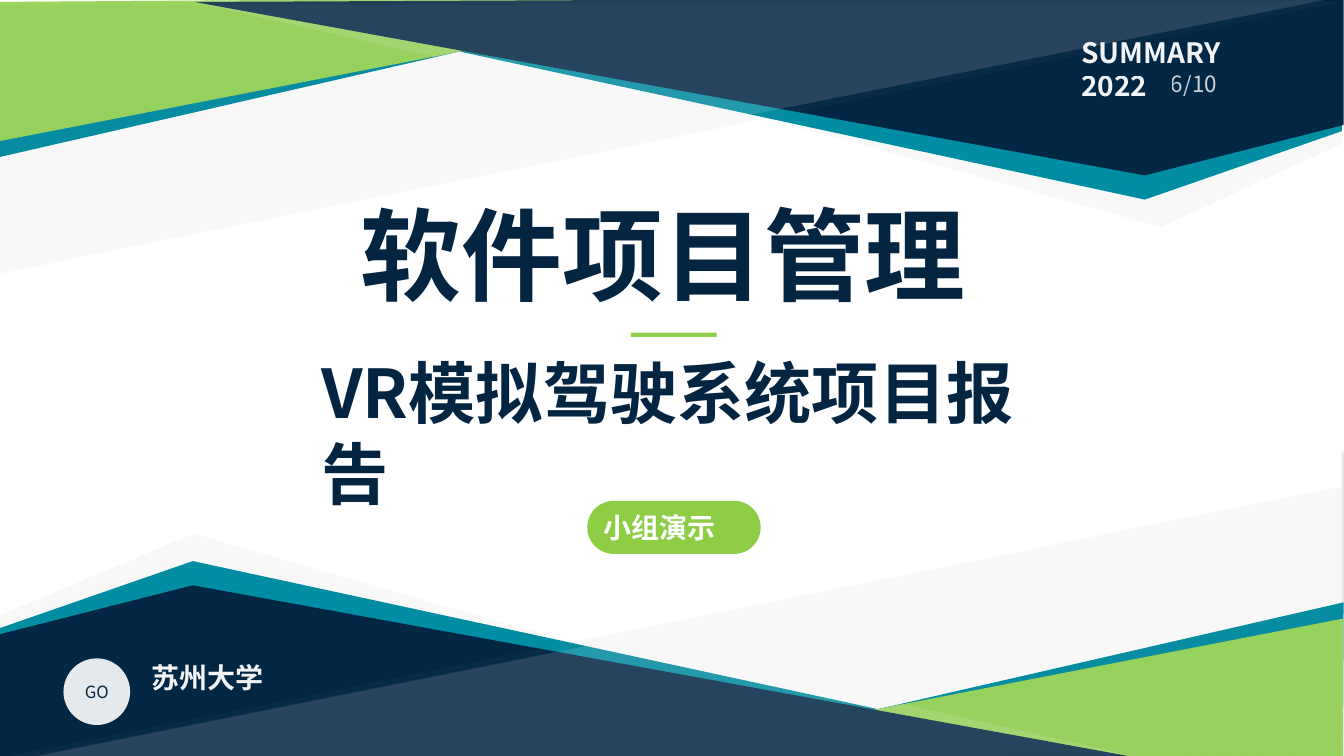
from dataclasses import dataclass

from lxml.etree import SubElement
from pptx import Presentation
from pptx.dml.color import RGBColor
from pptx.enum.dml import MSO_PATTERN
from pptx.enum.shapes import MSO_SHAPE
from pptx.enum.text import MSO_ANCHOR, MSO_AUTO_SIZE, PP_ALIGN
from pptx.oxml.ns import qn
from pptx.util import Cm, Pt


@dataclass(frozen=True)
class Theme:
    font: str = "Noto Sans CJK SC"
    navy: str = "022744"
    ink: str = "042542"
    white: str = "FFFFFF"
    mist: str = "F8F8F8"
    shade: str = "808080"
    edge: str = "E6E6E6"
    pill: str = "8ECE45"
    rule: str = "8FD04B"
    teal: tuple = ("0096A3", "008CA3")
    green: tuple = ("95D15A", "99D65D")
    title: int = 72
    subtitle: int = 48
    label: int = 20
    date: int = 16
    badge: int = 12


theme = Theme()


def paint(shape, color, opacity=100):
    """Fill a shape plainly, or with diagonal stripes for a pair of colours."""
    shape.shadow.inherit = False
    shape.line.fill.background()
    if isinstance(color, tuple):
        shape.fill.patterned()
        shape.fill.pattern = MSO_PATTERN.WIDE_DOWNWARD_DIAGONAL
        shape.fill.fore_color.rgb = RGBColor.from_string(color[0])
        shape.fill.back_color.rgb = RGBColor.from_string(color[1])
        return
    shape.fill.solid()
    shape.fill.fore_color.rgb = RGBColor.from_string(color)
    if opacity < 100:
        rgb = shape._element.spPr.find(".//" + qn("a:srgbClr"))
        SubElement(rgb, qn("a:alpha"), val=str(opacity * 1000))


def write(shape, text, size, color, bold=True, opacity=100, align=PP_ALIGN.LEFT):
    """Put one paragraph into a shape, with the same font for all scripts."""
    paragraph = shape.text_frame.paragraphs[0]
    paragraph.text = text
    paragraph.alignment = align
    font = paragraph.font
    font.size, font.bold, font.name = Pt(size), bold, theme.font
    font.color.rgb = RGBColor.from_string(color)
    properties = paragraph._p.pPr.find(qn("a:defRPr"))
    SubElement(properties, qn("a:ea"), typeface=theme.font)
    if opacity < 100:
        rgb = properties.find(".//" + qn("a:srgbClr"))
        SubElement(rgb, qn("a:alpha"), val=str(opacity * 1000))


deck = Presentation()
deck.slide_width, deck.slide_height = Cm(33.87), Cm(19.05)
slide = deck.slides.add_slide(deck.slide_layouts[5])
shapes = slide.shapes

# Strip at the right edge
strip = shapes.add_shape(MSO_SHAPE.RECTANGLE, Cm(33.81), Cm(11.38), Cm(0.99), Cm(8.61))
paint(strip, theme.edge)

# Angular bands at the top, then the same bands turned half round at the bottom
turn_x, turn_y = 33.71, 19.17
for turned, mist_peak in ((False, 29.26), (True, 28.83)):
    bands = [
        ([(33.83, 2.11), (33.83, 3.61), (mist_peak, 5.72), (19.2, 2.95),
          (33.17, 0), (33.86, 2.97)], theme.mist, 100),
        ([(-0.15, 3.99), (11.58, 1.3), (28.85, 5.03), (33.83, 3.3),
          (33.83, 0), (-0.13, 0.08)], theme.teal, 100),
        ([(-0.13, 0.05), (-0.13, 3.58), (18.69, -0.08)], theme.green, 100),
        ([(4.9, 0.05), (28.85, 4.42), (33.86, 3.15), (33.86, -0.08)], theme.navy, 100),
        ([(-0.08, 0.15), (33.83, 0.05), (-0.08, 6.91)], theme.shade, 5),
        ([(33.88, -0.1), (18.14, 3.05), (4.75, 0.03)], theme.white, 12),
    ]
    for corners, color, opacity in bands:
        if turned:
            corners = [(turn_x - x, turn_y - y) for x, y in corners]
        points = [(Cm(x), Cm(y)) for x, y in corners]
        outline = shapes.build_freeform(*points[0])
        outline.add_line_segments(points[1:], close=True)
        paint(outline.convert_to_shape(), color, opacity)

# Title, raised above the bands
title = shapes.title
title.left, title.top, title.width, title.height = Cm(8.84), Cm(4.72), Cm(15.8), Cm(3.33)
title.text_frame.word_wrap = True
title.text_frame.auto_size = MSO_AUTO_SIZE.SHAPE_TO_FIT_TEXT
title.text_frame.vertical_anchor = MSO_ANCHOR.TOP
write(title, "软件项目管理", theme.title, theme.ink)
shapes._spTree.append(title._element)

# Green rule and pill
rule = shapes.add_shape(MSO_SHAPE.RECTANGLE, Cm(15.9), Cm(8.38), Cm(2.16), Cm(0.11))
paint(rule, theme.rule)
pill = shapes.add_shape(MSO_SHAPE.ROUNDED_RECTANGLE, Cm(14.8), Cm(12.62), Cm(4.37), Cm(1.34))
pill.adjustments[0] = 0.5
paint(pill, theme.pill)

# Subtitle and labels
captions = [
    ("VR模拟驾驶系统项目报告", 7.85, 8.74, 19.48, 2.31, theme.subtitle, theme.ink, True, 100),
    ("小组演示", 14.96, 12.73, 3.4, 1.12, theme.label, theme.white, True, 100),
    ("6/10", 29.26, 1.65, 1.75, 0.94, theme.date, theme.white, False, 80),
    ("SUMMARY 2022", 27, 0.76, 5.54, 1.12, theme.label, theme.white, True, 95),
    ("苏州大学", 3.56, 16.51, 3.4, 1.12, theme.label, theme.white, True, 95),
]
for text, left, top, width, height, size, color, bold, opacity in captions:
    caption = shapes.add_textbox(Cm(left), Cm(top), Cm(width), Cm(height))
    caption.text_frame.word_wrap = True
    caption.text_frame.auto_size = MSO_AUTO_SIZE.SHAPE_TO_FIT_TEXT
    write(caption, text, size, color, bold, opacity)

# Round badge
badge = shapes.add_shape(MSO_SHAPE.OVAL, Cm(1.6), Cm(16.59), Cm(1.68), Cm(1.68))
paint(badge, theme.white, 90)
badge.text_frame.word_wrap = False
badge.text_frame.vertical_anchor = MSO_ANCHOR.MIDDLE
write(badge, "GO", theme.badge, theme.navy, bold=False, align=PP_ALIGN.CENTER)

deck.save("out.pptx")
